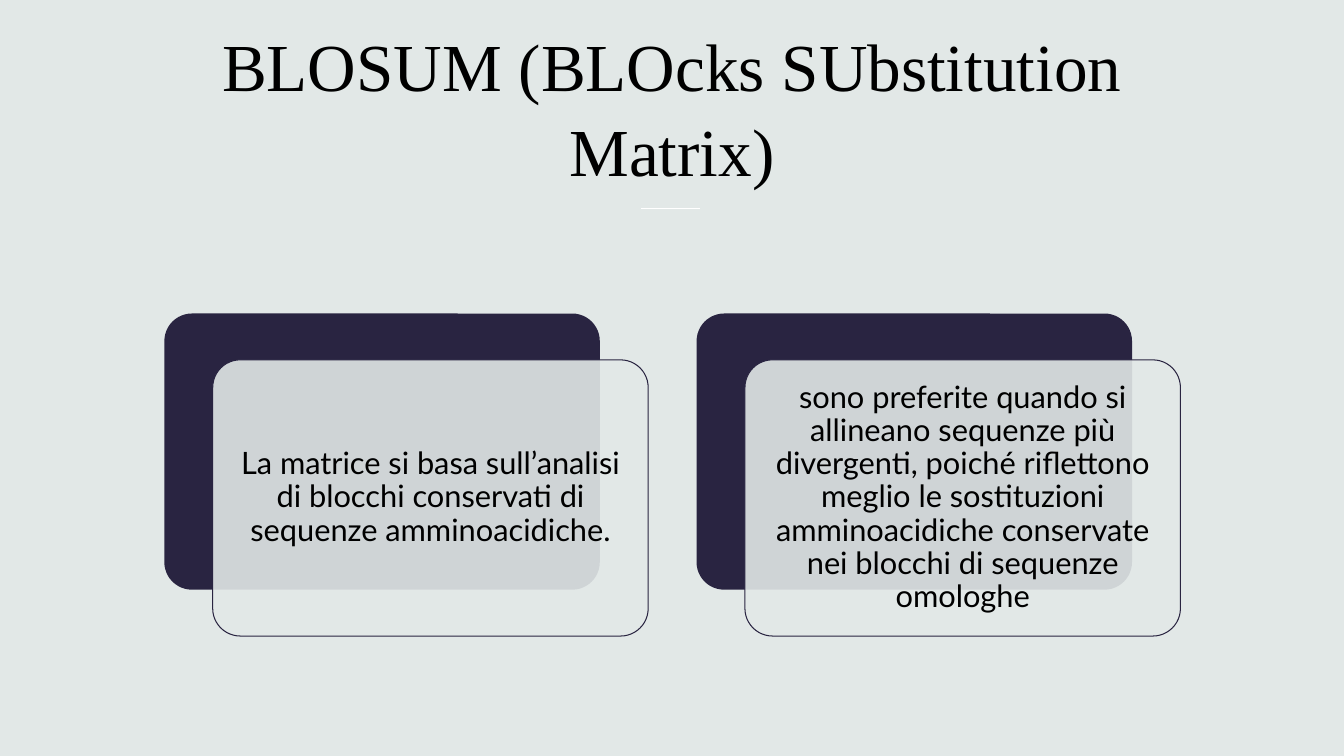
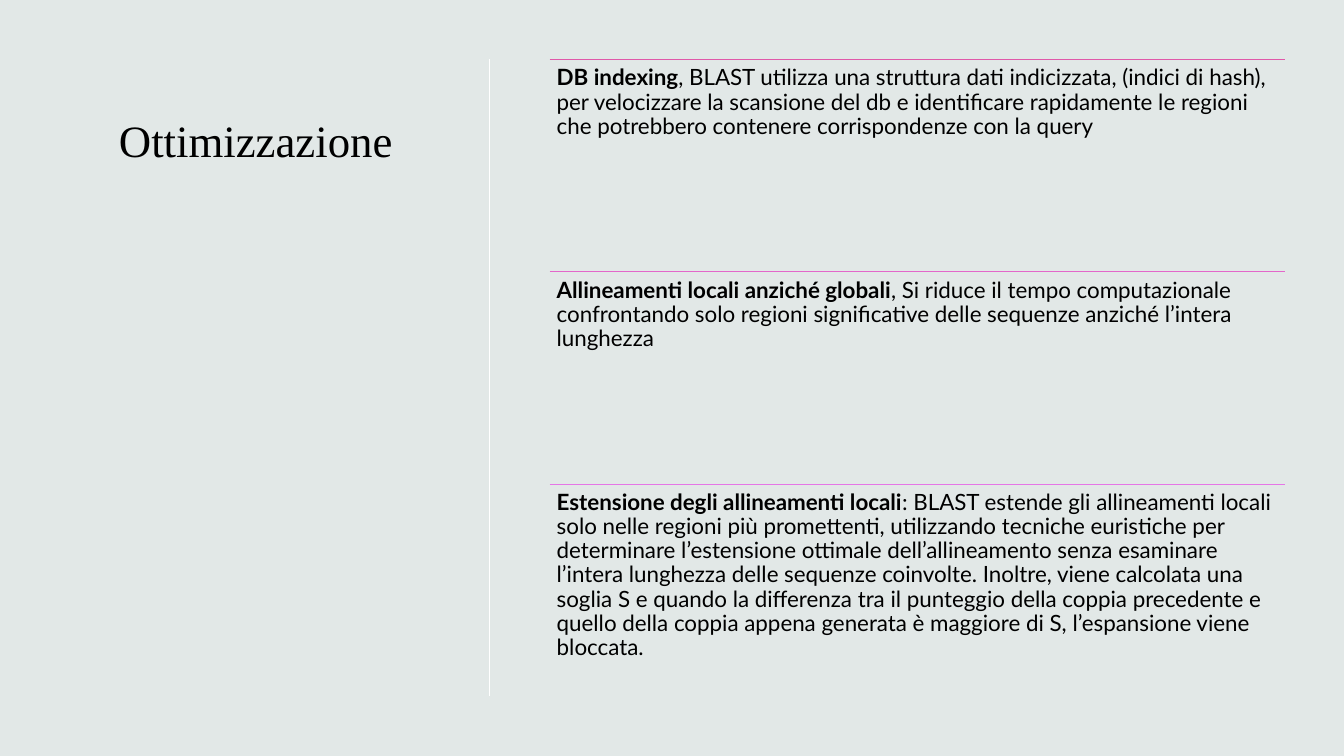
from dataclasses import dataclass

from lxml import etree
from pptx import Presentation
from pptx.dml.color import RGBColor
from pptx.enum.shapes import MSO_CONNECTOR, MSO_SHAPE
from pptx.enum.text import MSO_ANCHOR, MSO_AUTO_SIZE, PP_ALIGN
from pptx.oxml.ns import qn
from pptx.util import Inches, Pt

STRAIGHT = MSO_CONNECTOR.STRAIGHT
ROUNDED = MSO_SHAPE.ROUNDED_RECTANGLE
TOP, MIDDLE = MSO_ANCHOR.TOP, MSO_ANCHOR.MIDDLE
LEFT, CENTER = PP_ALIGN.LEFT, PP_ALIGN.CENTER
NO_AUTOFIT = MSO_AUTO_SIZE.NONE


@dataclass(frozen=True)
class Theme:
    paper: RGBColor = RGBColor.from_string("E2E8E7")
    ink: RGBColor = RGBColor.from_string("000000")
    navy: RGBColor = RGBColor.from_string("292441")
    divider: RGBColor = RGBColor.from_string("FFFFFF")
    row_lines: tuple = ("E058A9", "E367CA", "E576E6")
    title_font: str = "Times New Roman"
    body_font: str = "Lato"
    title_large: int = 48
    title_small: int = 32
    card_text: int = 22
    row_text: int = 16
    divider_width: float = 1
    thin_line: float = 0.75
    title_spacing: float = 1.06
    body_spacing: float = 0.9


theme = Theme()
prs = Presentation()
prs.slide_width, prs.slide_height = Inches(13.33), Inches(7.5)


def area(x, y, w, h):
    """Turn percentages of the slide's width and height into lengths."""
    return [int(share * side / 100) for share, side in
            zip((x, y, w, h), (prs.slide_width, prs.slide_height) * 2)]


def draw_rule(slide, ends, color, width):
    rule = slide.shapes.add_connector(STRAIGHT, *area(*ends))
    rule.line.color.rgb = color
    rule.line.width = Pt(width)
    etree.SubElement(rule._element.spPr, qn("a:effectLst"))


# Shared background
background = prs.slide_master.background.fill
background.solid()
background.fore_color.rgb = theme.paper

# Slides with their titles
titles = [
    ("BLOSUM (BLOcks SUbstitution Matrix)", (8.1, 3.73, 83.8, 20.27),
     theme.title_large, CENTER, MIDDLE),
    ("Ottimizzazione", (8.1, 13.87, 22.95, 68.4), theme.title_small, LEFT, TOP),
]
slides = []
for wording, place, size, align, anchor in titles:
    slide = prs.slides.add_slide(prs.slide_layouts[5])
    title = slide.shapes.title
    title.left, title.top, title.width, title.height = area(*place)
    title.text_frame.text = wording
    frame_format = {"word_wrap": True, "auto_size": NO_AUTOFIT, "vertical_anchor": anchor}
    for name, value in frame_format.items():
        setattr(title.text_frame, name, value)
    heading = title.text_frame.paragraphs[0]
    heading.alignment, heading.line_spacing = align, theme.title_spacing
    font_format = {"name": theme.title_font, "size": Pt(size)}
    for name, value in font_format.items():
        setattr(heading.runs[0].font, name, value)
    heading.runs[0].font.color.rgb = theme.ink
    slides.append(slide)
blosum, optimisation = slides

# Dividers
draw_rule(blosum, (47.7, 27.6, 52.1, 27.6), theme.divider, theme.divider_width)
draw_rule(optimisation, (36.4, 7.87, 36.4, 92.13), theme.divider, theme.divider_width)

# Each text: slide, place, inset, size, alignment, anchor, (bold lead, remainder)
texts = []

# BLOSUM cards: a dark back plate and a translucent front plate
card_x, card_y, card_w, card_h = 12.23, 41.47, 32.4, 36.53
card_pitch = 39.6
shift_x, shift_y = 3.6, 6.13
pad_x, pad_y = 0.6, 1.07
card_wordings = [
    "La matrice si basa sull’analisi di blocchi conservati di sequenze amminoacidiche.",
    "sono preferite quando si allineano sequenze più divergenti, poiché riflettono meglio "
    "le sostituzioni amminoacidiche conservate nei blocchi di sequenze omologhe",
]
for column, wording in enumerate(card_wordings):
    back_x = card_x + column * card_pitch
    front_x, front_y = back_x + shift_x, card_y + shift_y
    for x, y, color in ((back_x, card_y, theme.navy), (front_x, front_y, theme.paper)):
        plate = blosum.shapes.add_shape(ROUNDED, *area(x, y, card_w, card_h))
        plate.adjustments[0] = 0.1
        plate.shadow.inherit = False
        plate.fill.solid()
        plate.fill.fore_color.rgb = color
        if color == theme.navy:
            plate.line.fill.background()
        else:
            plate.line.color.rgb = theme.navy
            plate.line.width = Pt(theme.thin_line)
            tint = plate._element.spPr.find(qn("a:solidFill")).find(qn("a:srgbClr"))
            etree.SubElement(tint, qn("a:alpha"), val="90000")
    place = (front_x + pad_x, front_y + pad_y, card_w - 2 * pad_x, card_h - 2 * pad_y)
    texts.append((blosum, place, 0.09, theme.card_text, CENTER, MIDDLE, ("", wording)))

# Optimisation rows, each under its own line
row_x, row_y, row_w, row_h = 40.9, 7.87, 54.7, 28.08
techniques = [
    ("DB indexing",
     ", BLAST utilizza una struttura dati indicizzata, (indici di hash), per velocizzare la "
     "scansione del db e identificare rapidamente le regioni che potrebbero contenere "
     "corrispondenze con la query"),
    ("Allineamenti locali anziché globali",
     ", Si riduce il tempo computazionale confrontando solo regioni significative delle "
     "sequenze anziché l’intera lunghezza"),
    ("Estensione degli allineamenti locali",
     ": BLAST estende gli allineamenti locali solo nelle regioni più promettenti, utilizzando "
     "tecniche euristiche per determinare l’estensione ottimale dell’allineamento senza "
     "esaminare l’intera lunghezza delle sequenze coinvolte. Inoltre, viene calcolata una "
     "soglia S e quando la differenza tra il punteggio della coppia precedente e quello della "
     "coppia appena generata è maggiore di S, l’espansione viene bloccata."),
]
for row, (technique, color) in enumerate(zip(techniques, theme.row_lines)):
    y = row_y + row * row_h
    draw_rule(optimisation, (row_x, y, row_x + row_w, y),
              RGBColor.from_string(color), theme.thin_line)
    texts.append((optimisation, (row_x, y, row_w, row_h), 0.07, theme.row_text,
                  LEFT, TOP, technique))

# Body texts of both slides
for slide, place, inset, size, align, anchor, (lead, remainder) in texts:
    frame = slide.shapes.add_textbox(*area(*place)).text_frame
    frame_format = {"word_wrap": True, "vertical_anchor": anchor}
    frame_format.update({f"margin_{side}": Inches(inset)
                         for side in ("left", "top", "right", "bottom")})
    for name, value in frame_format.items():
        setattr(frame, name, value)
    paragraph = frame.paragraphs[0]
    paragraph.alignment, paragraph.line_spacing = align, theme.body_spacing
    for wording, bold in ((lead, True), (remainder, False)):
        if not wording:
            continue
        run = paragraph.add_run()
        run.text = wording
        font_format = {"name": theme.body_font, "size": Pt(size), "bold": bold}
        for name, value in font_format.items():
            setattr(run.font, name, value)
        run.font.color.rgb = theme.ink

prs.save("out.pptx")
